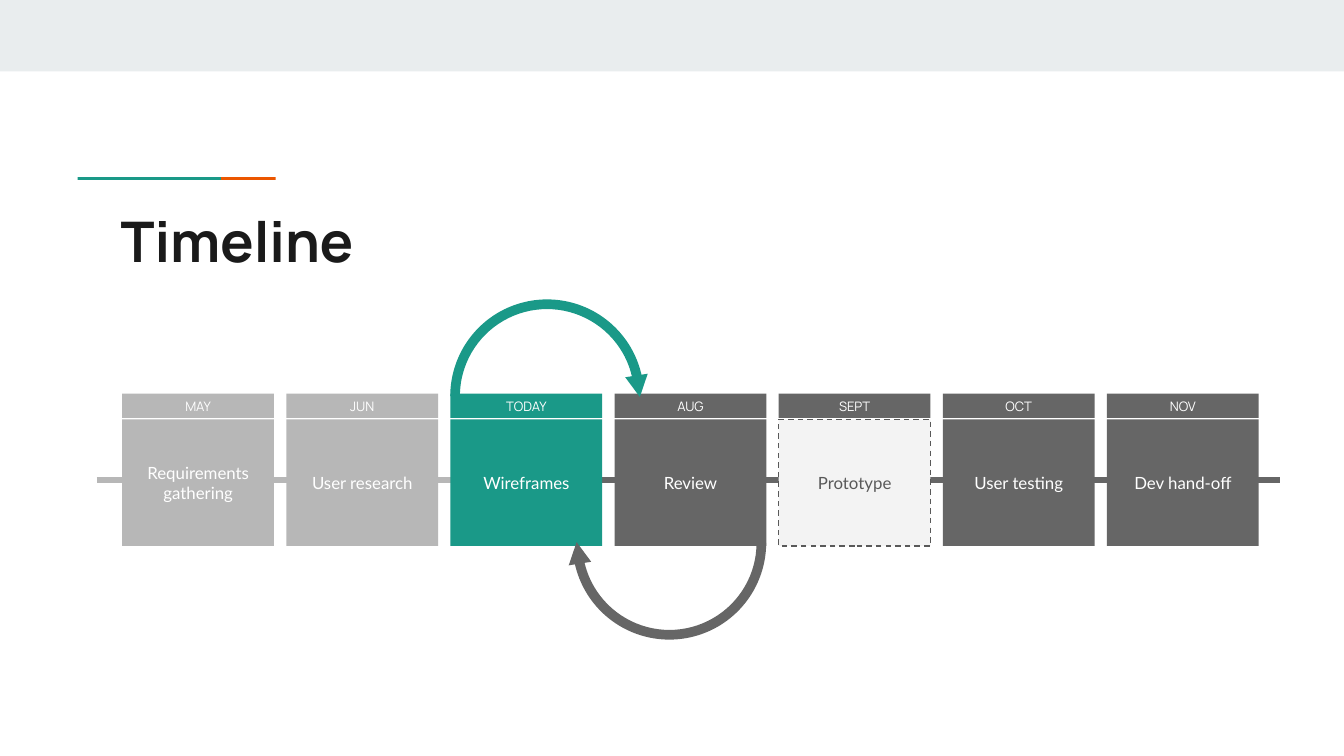
from pptx import Presentation
from pptx.dml.color import RGBColor
from pptx.enum.dml import MSO_LINE
from pptx.enum.shapes import MSO_CONNECTOR, MSO_SHAPE as Shape
from pptx.enum.text import MSO_ANCHOR as Anchor, PP_ALIGN as Align
from pptx.oxml.ns import qn
from pptx.util import Cm, Pt
from lxml.etree import SubElement

TEAL, ORANGE, GREY, PALE = "1A9988", "EB5600", "666666", "B7B7B7"
WHITE, INK, DASH, DRAFT = "FFFFFF", "1A1A1A", "595959", "F3F3F3"

# month, step, main colour
STEPS = [
    ("MAY", "Requirements gathering", PALE),
    ("JUN", "User research", PALE),
    ("TODAY", "Wireframes", TEAL),
    ("AUG", "Review", GREY),
    ("SEPT", "Prototype", GREY),
    ("OCT", "User testing", GREY),
    ("NOV", "Dev hand-off", GREY),
]
PLANNED = "Prototype"

INSETS = {f"margin_{side}": Cm(0.25) for side in ("left", "top", "right", "bottom")}
TITLE = {"name": "Manrope", "size": Pt(30), "bold": True}
MONTH = {"name": "Manrope", "size": Pt(7)}
STEP = {"name": "Lato", "size": Pt(9)}


def paint(colour_format, colour):
    colour_format.rgb = RGBColor.from_string(colour)


def apply(target, values):
    for name, value in values.items():
        setattr(target, name, value)


def add_block(slide, kind, left, top, width, height, colour):
    block = slide.shapes.add_shape(kind, Cm(left), Cm(top), Cm(width), Cm(height))
    block.shadow.inherit = False
    block.fill.solid()
    paint(block.fill.fore_color, colour)
    block.line.fill.background()
    return block


def write(holder, words, font, colour, align=Align.CENTER, anchor=Anchor.MIDDLE):
    frame = holder.text_frame
    apply(frame, {"word_wrap": True, "vertical_anchor": anchor, **INSETS})
    paragraph = frame.paragraphs[0]
    paragraph.alignment = align
    run = paragraph.add_run()
    run.text = words
    apply(run.font, font)
    paint(run.font.color, colour)


def add_rail(slide, start, end, y, colour):
    rail = slide.shapes.add_connector(
        MSO_CONNECTOR.STRAIGHT, Cm(start), Cm(y), Cm(end), Cm(y))
    rail.line.width = Pt(3)
    paint(rail.line.color, colour)
    SubElement(rail._element.spPr, qn("a:effectLst"))


def add_header(slide, left, top, width, height):
    # Band across the top of the slide
    add_block(slide, Shape.RECTANGLE, 0, 0, 25.4, 1.35, "E9EDEE")

    # Two-colour accent rule
    split = 2.71
    add_block(slide, Shape.RECTANGLE, left - 0.56, top - 0.31, split, 0.05, TEAL)
    add_block(slide, Shape.RECTANGLE, left - 0.56 + split, top - 0.31, 1.03, 0.05, ORANGE)

    # Title
    title = slide.shapes.add_textbox(Cm(left), Cm(top), Cm(width), Cm(height))
    write(title, "Timeline", TITLE, INK, Align.LEFT, Anchor.TOP)


def add_card(slide, left, top, width, height, month, step, colour):
    month_height, gap = 0.46, 0.03
    planned = step == PLANNED

    # Step below, month above
    body_top = top + month_height + gap
    body = add_block(slide, Shape.RECTANGLE, left, body_top, width,
                     height - month_height - gap, DRAFT if planned else colour)
    if planned:
        paint(body.line.color, DASH)
        apply(body.line, {"width": Pt(0.75), "dash_style": MSO_LINE.DASH})
    write(body, step, STEP, DASH if planned else WHITE)
    label = add_block(slide, Shape.RECTANGLE, left, top, width, month_height, colour)
    write(label, month, MONTH, WHITE)


def add_timeline(slide, left, top, width, height):
    card_width = 2.87
    pitch = (width - card_width) / (len(STEPS) - 1)

    # Rails behind the cards: ahead, then done
    rail_y = top + 1.63
    add_rail(slide, left + 3 * pitch - 0.31, left + width + 0.4, rail_y, GREY)
    add_rail(slide, left - 0.48, left + 2 * pitch + 2.26, rail_y, PALE)

    for index, (month, step, colour) in enumerate(STEPS):
        add_card(slide, left + index * pitch, top, card_width, height, month, step, colour)


def add_loop(slide, left, top, size, colour, turned=False):
    # Arc over half a circle
    arc = add_block(slide, Shape.BLOCK_ARC, left, top, size, size, colour)
    for index, value in enumerate((108, 211.46, 0.05)):
        arc.adjustments[index] = value
    arc.rotation = 180 if turned else 0

    # Arrowhead at the end of the arc, mirrored through the centre when turned
    head_width, head_height = 0.43, 0.41
    x, y = 3.55, 1.64
    if turned:
        x, y = size - x, size - y
    head = add_block(slide, Shape.ISOSCELES_TRIANGLE, left + x - head_width / 2,
                     top + y - head_height / 2, head_width, head_height, colour)
    head.rotation = 351.1 if turned else 171.1


def main():
    deck = Presentation()
    apply(deck, {"slide_width": Cm(25.4), "slide_height": Cm(14.29)})
    slide = deck.slides.add_slide(deck.slide_layouts[6])
    add_header(slide, 2.03, 3.66, 21.36, 1.5)
    add_timeline(slide, 2.31, 7.44, 21.48, 2.88)
    add_loop(slide, 8.51, 5.66, 3.66, TEAL)
    add_loop(slide, 10.82, 8.43, 3.66, GREY, turned=True)
    deck.save("out.pptx")


if __name__ == "__main__":
    main()
